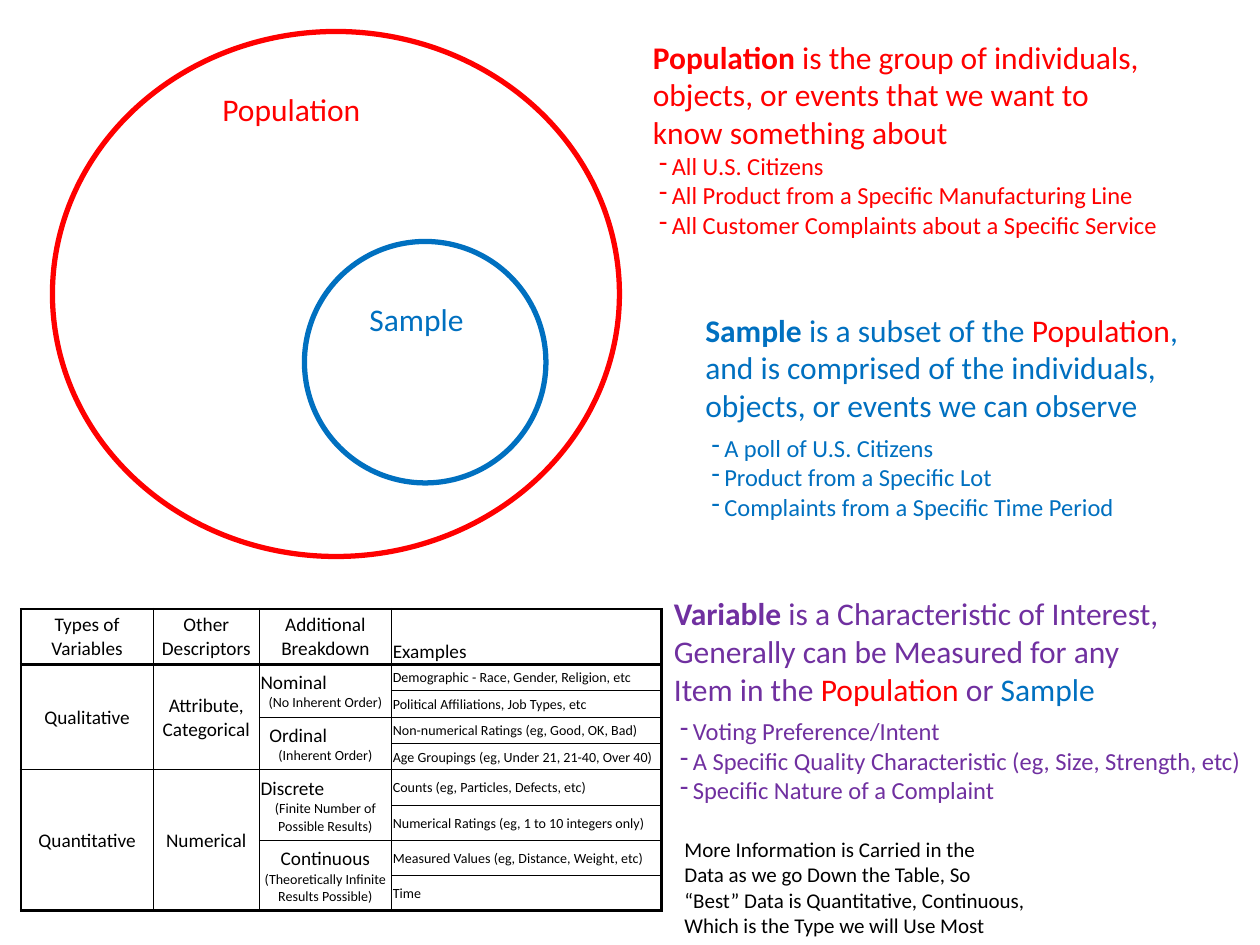
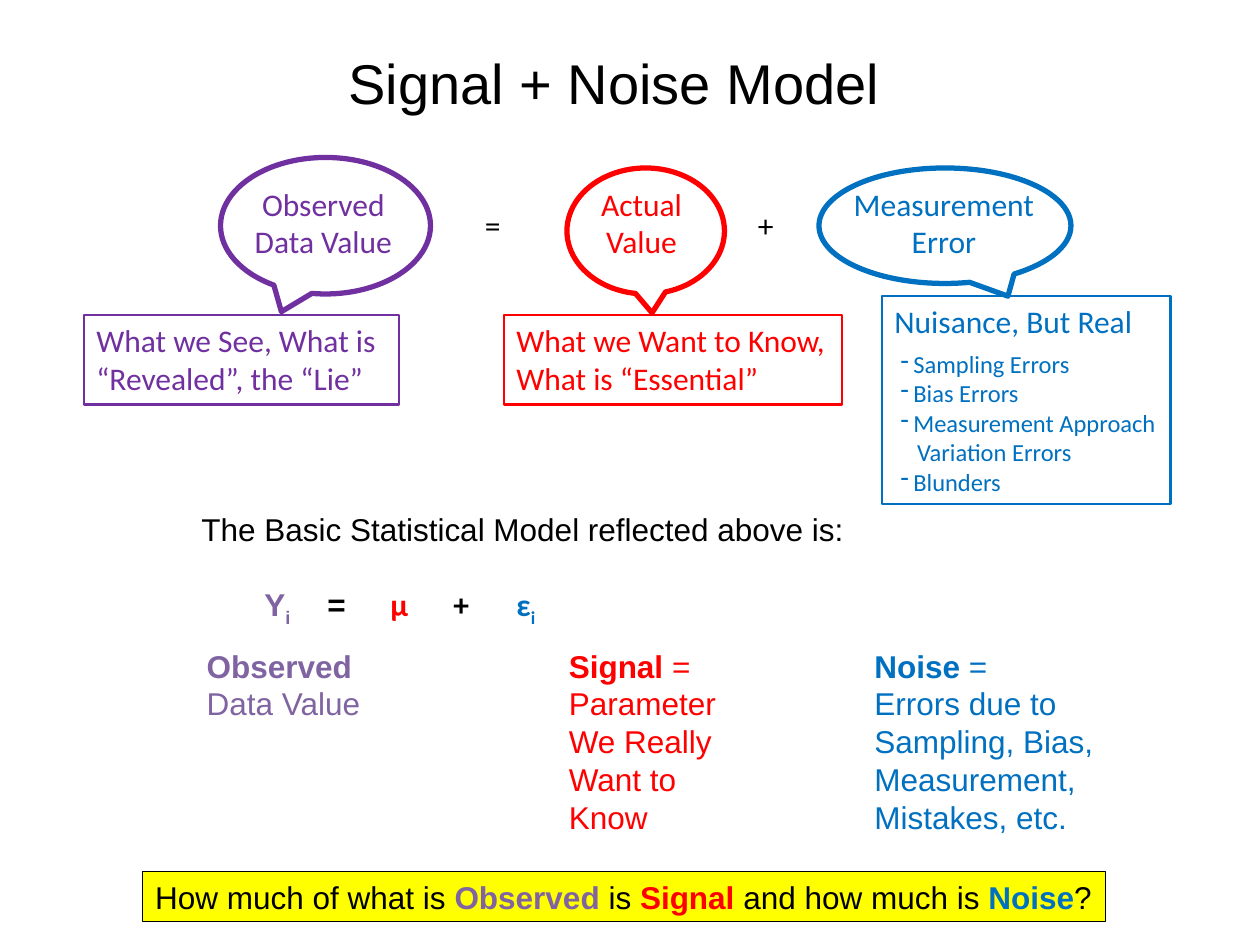
from lxml import etree
from pptx import Presentation, util as u
from pptx.dml.color import RGBColor
from pptx.enum import shapes, text
from pptx.oxml.ns import qn

COLORS = {
    "black": "000000",
    "population": "FF0000",
    "sample": "0070C0",
    "variable": "7030A0",
    "observed": "8064A2",
    "highlight": "FFFF00",
}
COLUMNS, ROWS = 120, 90
TITLE_ONLY, BLANK = 5, 6
ALIGN = {"left": text.PP_ALIGN.LEFT, "center": text.PP_ALIGN.CENTER}


def rgb(name):
    return RGBColor.from_string(COLORS[name])


def run(content, **style):
    return content, style


def line(*runs, **style):
    return runs, style


def bullets(*items, first_gap=0):
    return [line(item, size=14, bullet="-", margin=0.15, before=0 if i else first_gap)
            for i, item in enumerate(items)]


def add_line(frame, runs, size=18, font="Calibri", color="black", bold=False, align="left",
             before=0, margin=0, bullet=None, tabs=()):
    """Append one paragraph; each run is a string or a (string, style) pair."""
    paragraph = frame.paragraphs[0]
    if paragraph.runs:
        paragraph = frame.add_paragraph()
    properties = paragraph._p.get_or_add_pPr()
    properties.set("marL", str(u.Inches(margin)))
    properties.set("indent", str(u.Inches(-0.1 if bullet else 0)))
    if bullet:
        etree.SubElement(properties, qn("a:buChar"), char=bullet)
    if tabs:
        stops = etree.SubElement(properties, qn("a:tabLst"))
        for stop in tabs:
            etree.SubElement(stops, qn("a:tab"), pos=str(u.Inches(stop)), algn="l")
    paragraph.alignment = ALIGN[align]
    paragraph.space_before = u.Pt(before)
    for item in runs:
        content, style = (item, {}) if isinstance(item, str) else item
        piece = paragraph.add_run()
        piece.text = content
        piece.font.size = u.Pt(size)
        piece.font.name = style.get("font", font)
        piece.font.bold = style.get("bold", bold)
        piece.font.color.rgb = rgb(style.get("color", color))
        if style.get("subscript"):
            piece._r.get_or_add_rPr().set("baseline", "-25000")


class Deck:
    """Holds the style and the current slide; boxes are (column, row, columns, rows)."""

    def __init__(self):
        self.presentation = Presentation()
        self.presentation.slide_width = u.Inches(10)
        self.presentation.slide_height = u.Inches(7.5)
        self.slide = None

    def add_slide(self, layout):
        self.slide = self.presentation.slides.add_slide(self.presentation.slide_layouts[layout])

    def across(self, columns):
        return round(self.presentation.slide_width * columns / COLUMNS)

    def down(self, rows):
        return round(self.presentation.slide_height * rows / ROWS)

    def place(self, box):
        left, top, width, height = box
        return self.across(left), self.down(top), self.across(width), self.down(height)

    def fill_frame(self, frame, lines, wrap=False, **style):
        frame.word_wrap = wrap
        frame.auto_size = text.MSO_AUTO_SIZE.SHAPE_TO_FIT_TEXT
        frame.vertical_anchor = text.MSO_ANCHOR.TOP
        for item in lines:
            runs, own = ((item,), {}) if isinstance(item, str) else item
            add_line(frame, runs, **{**style, **own})

    def title(self, box, content):
        title = self.slide.shapes.title
        title.left, title.top, title.width, title.height = self.place(box)
        self.fill_frame(title.text_frame, [content], size=32, font="Arial")

    def text(self, box, *lines, **style):
        shape = self.slide.shapes.add_textbox(*self.place(box))
        self.fill_frame(shape.text_frame, lines, **style)

    def outline(self, kind, box, color, weight, fill=None):
        shape = self.slide.shapes.add_shape(kind, *self.place(box))
        shape.shadow.inherit = False
        shape.line.color.rgb = rgb(color)
        shape.line.width = u.Pt(weight)
        if fill:
            shape.fill.solid()
            shape.fill.fore_color.rgb = rgb(fill)
        else:
            shape.fill.background()
        return shape

    def ellipse(self, box, color):
        self.outline(shapes.MSO_SHAPE.OVAL, box, color, 3)

    def callout(self, box, color, tip):
        shape = self.outline(shapes.MSO_SHAPE.OVAL_CALLOUT, box, color, 3)
        shape.adjustments[0], shape.adjustments[1] = tip

    def framed_text(self, box, color, *lines, weight=1.5, fill=None, **style):
        shape = self.outline(shapes.MSO_SHAPE.RECTANGLE, box, color, weight, fill)
        self.fill_frame(shape.text_frame, lines, **{"color": color, **style})

    def table(self, corner, widths, heights, cells, spans):
        """cells maps (row, column) to lines; spans maps (row, column) to a row count."""
        box = (*corner, sum(widths), sum(heights))
        table = self.slide.shapes.add_table(len(heights), len(widths), *self.place(box)).table
        table.first_row = table.horz_banding = False
        for column, width in zip(table.columns, widths):
            column.width = self.across(width)
        for row, height in zip(table.rows, heights):
            row.height = self.down(height)
        for (row, column), count in spans.items():
            table.cell(row, column).merge(table.cell(row + count - 1, column))
        for row in range(len(heights)):
            for column in range(len(widths)):
                cell = table.cell(row, column)
                cell.margin_left = cell.margin_right = cell.margin_top = u.Inches(0.01)
                cell.margin_bottom = 0
                cell.fill.background()
                if cell.is_spanned:
                    continue
                cell.vertical_anchor = text.MSO_ANCHOR.MIDDLE
                for runs, style in cells[row, column]:
                    add_line(cell.text_frame, runs, **style)
                end = row + spans.get((row, column), 1)
                self.borders(cell, {
                    "L": 0.5 if column else 1.5,
                    "R": 1.5 if column == len(widths) - 1 else 0.5,
                    "T": {0: 1.5, 1: 2}.get(row, 0.5),
                    "B": {1: 2, len(heights): 1.5}.get(end, 0.5),
                })
        return table

    def borders(self, cell, weights):
        properties = cell._tc.get_or_add_tcPr()
        for position, (side, weight) in enumerate(weights.items()):
            border = etree.Element(qn(f"a:ln{side}"), w=str(u.Pt(weight)))
            fill = etree.SubElement(border, qn("a:solidFill"))
            etree.SubElement(fill, qn("a:srgbClr"), val=COLORS["black"])
            properties.insert(position, border)


def variable_types(deck):
    cells = {}
    for column, header in enumerate(["Types of Variables", "Other Descriptors",
                                     "Additional Breakdown", "Examples"]):
        cells[0, column] = [line(header, size=11, align="left" if column == 3 else "center")]
    groups = [("Qualitative", "Attribute, Categorical"), ("Quantitative", "Numerical")]
    for index, group in enumerate(groups):
        for column, label in enumerate(group):
            cells[1 + 4 * index, column] = [line(label, size=11, align="center")]
    breakdown = [
        (line("Nominal", size=11), "(No Inherent Order)"),
        (line("Ordinal", size=11, margin=0.07), "(Inherent Order)"),
        (line("Discrete", size=11), "(Finite Number of Possible Results)"),
        (line("Continuous", size=11, align="center"), "(Theoretically Infinite Results Possible)"),
    ]
    for index, (label, detail) in enumerate(breakdown):
        cells[1 + 2 * index, 2] = [label, line(detail, size=8, align="center")]
    examples = [
        "Demographic - Race, Gender, Religion, etc",
        "Political Affiliations, Job Types, etc",
        "Non-numerical Ratings (eg, Good, OK, Bad)",
        "Age Groupings (eg, Under 21, 21-40, Over 40)",
        "Counts (eg, Particles, Defects, etc)",
        "Numerical Ratings (eg, 1 to 10 integers only)",
        "Measured Values (eg, Distance, Weight, etc)",
        "Time",
    ]
    for index, example in enumerate(examples):
        cells[1 + index, 3] = [line(example, size=8)]
    spans = {(row, column): 4 for row in (1, 5) for column in (0, 1)}
    spans.update({(row, 2): 2 for row in (1, 3, 5, 7)})
    table = deck.table((2, 58), [12.6, 10.1, 12.6, 25.7], [5.25] + [2.52] * 4 + [3.35] * 4,
                       cells, spans)
    table.cell(0, 3).vertical_anchor = text.MSO_ANCHOR.BOTTOM


def definitions_slide(deck):
    deck.add_slide(BLANK)
    deck.ellipse((5, 3, 54, 50), "population")
    deck.text((20, 8, 15.75, 4.8), "Population", color="population")
    deck.ellipse((29, 23, 23, 23), "sample")
    deck.text((34, 28, 11.5, 4.8), "Sample", color="sample")
    deck.text((61, 3, 50.9, 20.6),
              line(run("Population", bold=True), " is the group of individuals,"),
              "objects, or events that we want to",
              "know something about",
              *bullets("All U.S. Citizens",
                       "All Product from a Specific Manufacturing Line",
                       "All Customer Complaints about a Specific Service"),
              color="population")
    deck.text((66, 29, 47.8, 21.4),
              line(run("Sample", bold=True), " is a subset of the ",
                   run("Population", color="population"), ","),
              "and is comprised of the individuals,",
              "objects, or events we can observe",
              *bullets("A poll of U.S. Citizens",
                       "Product from a Specific Lot",
                       "Complaints from a Specific Time Period", first_gap=5),
              color="sample")
    deck.text((63, 56, 57, 21.4),
              line(run("Variable", bold=True), " is a Characteristic of Interest,"),
              "Generally can be Measured for any",
              line("Item in the ", run("Population", color="population"), " or ",
                   run("Sample", color="sample")),
              *bullets("Voting Preference/Intent",
                       "A Specific Quality Characteristic (eg, Size, Strength, etc)",
                       "Specific Nature of a Complaint", first_gap=5),
              color="variable")
    variable_types(deck)
    deck.text((64, 79.1, 35.2, 10.9),
              "More Information is Carried in the",
              "Data as we go Down the Table, So",
              "“Best” Data is Quantitative, Continuous,",
              "Which is the Type we will Use Most", size=12)


def model_slide(deck):
    deck.add_slide(TITLE_ONLY)
    deck.title((32, 4, 53.4, 7.7), "Signal + Noise Model")

    terms = [(23, 15.6, "variable", "Observed", "Data Value"),
             (56, 10.2, "population", "Actual", "Value"),
             (80, 19.8, "sample", "Measurement", "Error")]
    for left, width, color, *words in terms:
        deck.text((left, 17, width, 8.5), *words, color=color, align="center")
    for left, sign in ((45, "="), (71, "+")):
        deck.text((left, 19, 4, 4.8), sign)

    deck.framed_text((8, 30, 30, 8.5), "variable",
                     "What we See, What is", "“Revealed”, the “Lie”")
    deck.framed_text((48, 30, 32.2, 8.5), "population",
                     "What we Want to Know,", "What is “Essential”")
    deck.framed_text((84, 28.2, 27.5, 19.8), "sample",
                     "Nuisance, But Real",
                     *bullets("Sampling Errors", "Bias Errors", "Measurement Approach",
                              first_gap=5),
                     line("Variation Errors", size=14, margin=0.18),
                     *bullets("Blunders"))
    deck.callout((21, 15, 20, 13), "variable", (-0.21, 0.63))
    deck.callout((54, 16, 15, 12), "population", (0.04, 0.65))
    deck.callout((78, 16, 24, 11), "sample", (0.25, 0.61))

    deck.text((18, 48, 75, 12.1),
              "The Basic Statistical Model reflected above is:",
              line(run("\tY", color="observed"),
                   run("i", color="observed", subscript=True),
                   "\t=",
                   run("\tμ", font="Calibri", color="population"),
                   run("\t+", font="Calibri"),
                   run("\tε", font="Calibri", color="sample"),
                   run("i", font="Calibri", color="sample", subscript=True),
                   bold=True, before=21, tabs=(0.56, 2.23, 3.34, 4.38, 5.69)),
              font="Arial", wrap=True)

    meanings = [
        (18.5, 17.5, "observed", [line(run("Observed", bold=True), " Data Value")]),
        (53, 18, "population", [line(run("Signal", bold=True), " ="),
                                "Parameter We Really Want to Know"]),
        (82.1, 24, "sample", [line(run("Noise", bold=True), " ="),
                              "Errors due to Sampling, Bias, Measurement, Mistakes, etc."]),
    ]
    for left, width, color, lines in meanings:
        deck.text((left, 61, width, 19.4), *lines, color=color, font="Arial", wrap=True)

    deck.framed_text((13.6, 83, 91.7, 4.8), "black",
                     line("How much of what is ", run("Observed", color="observed", bold=True),
                          " is ", run("Signal", color="population", bold=True),
                          " and how much is ", run("Noise", color="sample", bold=True), "?"),
                     weight=0.75, fill="highlight", font="Arial")


def main():
    deck = Deck()
    definitions_slide(deck)
    model_slide(deck)
    deck.presentation.save("out.pptx")


if __name__ == "__main__":
    main()
